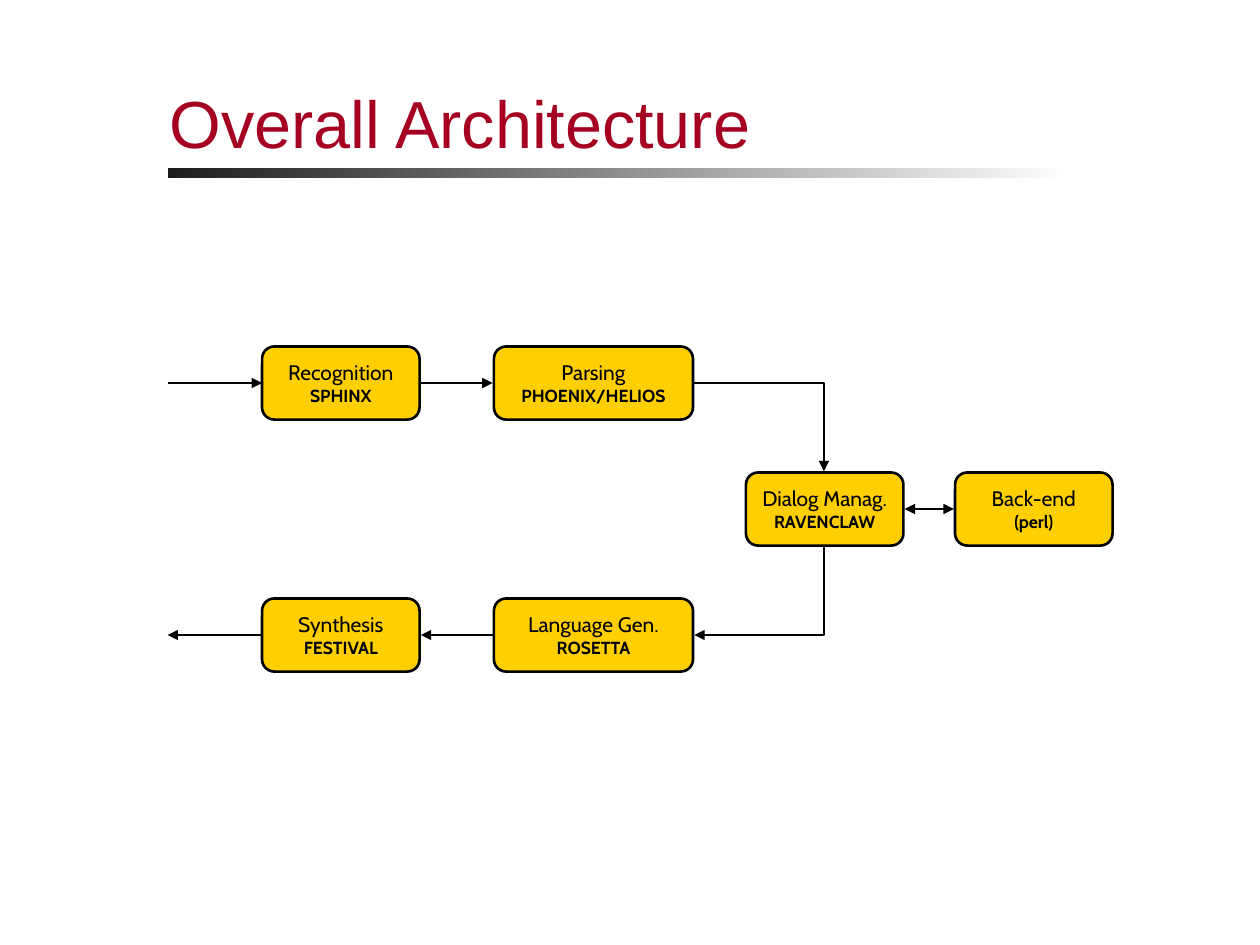
"""Build the overall architecture slide of a spoken dialog system."""
from pptx import Presentation
from pptx.dml.color import RGBColor
from pptx.enum.shapes import MSO_CONNECTOR, MSO_SHAPE
from pptx.enum.text import MSO_ANCHOR, PP_ALIGN
from pptx.oxml.ns import qn
from pptx.util import Inches, Pt
from lxml.etree import SubElement

COLORS = {"title": "A50021", "box": "FFCF01", "ink": "000000", "dark": "1C1C1C", "light": "FFFFFF"}


def rgb(name):
    return RGBColor.from_string(COLORS[name])


def write(p, text, size=12, font="Cabin", color="ink", bold=False, align=PP_ALIGN.LEFT):
    p.alignment = align
    r = p.add_run()
    r.text = text
    r.font.size, r.font.name, r.font.bold = Pt(size), font, bold
    r.font.color.rgb = rgb(color)


class Diagram:
    line_width = 1.5
    box_height = 0.58

    def __init__(self, prs):
        self.s = prs.slides.add_slide(prs.slide_layouts[6])

    def title(self, text, x, y, w, h):
        tf = self.s.shapes.add_textbox(Inches(x), Inches(y), Inches(w), Inches(h)).text_frame
        tf.word_wrap = True
        tf.vertical_anchor = MSO_ANCHOR.BOTTOM
        write(tf.paragraphs[0], text, size=38, font="Arial", color="title")

    def shape(self, kind, x, y, w, h):
        sp = self.s.shapes.add_shape(kind, Inches(x), Inches(y), Inches(w), Inches(h))
        sp.shadow.inherit = False
        return sp

    def fading_rule(self, x, y, w, h):
        sp = self.shape(MSO_SHAPE.RECTANGLE, x, y, w, h)
        sp.line.fill.background()
        sp.fill.gradient()
        sp.fill.gradient_angle = 0
        for stop, name in zip(sp.fill.gradient_stops, ("dark", "light")):
            stop.color.rgb = rgb(name)

    def box(self, role, system, x, y, w):
        sp = self.shape(MSO_SHAPE.ROUNDED_RECTANGLE, x, y, w, self.box_height)
        sp.fill.solid()
        sp.fill.fore_color.rgb = rgb("box")
        sp.line.color.rgb = rgb("ink")
        sp.line.width = Pt(self.line_width)
        tf = sp.text_frame
        tf.word_wrap = False
        tf.vertical_anchor = MSO_ANCHOR.MIDDLE
        write(tf.paragraphs[0], role, align=PP_ALIGN.CENTER)
        write(tf.add_paragraph(), system, size=10, bold=True, align=PP_ALIGN.CENTER)

    def arrow(self, x1, y1, x2, y2, kind=MSO_CONNECTOR.STRAIGHT, ends=("tailEnd",)):
        c = self.s.shapes.add_connector(kind, Inches(x1), Inches(y1), Inches(x2), Inches(y2))
        c.line.color.rgb = rgb("ink")
        c.line.width = Pt(self.line_width)
        ln = c.line._get_or_add_ln()
        for end in ends:
            SubElement(ln, qn("a:" + end), type="triangle")
        SubElement(c._element.spPr, qn("a:effectLst"))
        return c

    def corner(self, x1, y1, x2, y2):
        """Draw a one-bend arrow that goes right then down, or down then left."""
        c = self.arrow(x1, y1, x2, y2, kind=MSO_CONNECTOR.ELBOW)
        spPr = c._element.spPr
        spPr.find(qn("a:prstGeom")).set("prst", "bentConnector2")
        if x2 < x1:
            w, h = y2 - y1, x1 - x2
            xfrm = spPr.find(qn("a:xfrm"))
            xfrm.attrib.pop("flipH", None)
            xfrm.set("rot", str(90 * 60000))
            c.left, c.top = Inches((x1 + x2 - w) / 2), Inches((y1 + y2 - h) / 2)
            c.width, c.height = Inches(w), Inches(h)


def main():
    prs = Presentation()
    prs.slide_width, prs.slide_height = Inches(10), Inches(7.5)
    d = Diagram(prs)
    d.fading_rule(1.33, 1.33, 7.17, 0.08)
    d.title("Overall Architecture", 1.25, 0.5, 8.52, 0.83)

    top, middle, bottom = 2.75, 3.75, 4.75
    for role, system, x, y, w in (
        ("Recognition", "SPHINX", 2.08, top, 1.25),
        ("Parsing", "PHOENIX/HELIOS", 3.92, top, 1.58),
        ("Dialog Manag.", "RAVENCLAW", 5.92, middle, 1.25),
        ("Back-end", "(perl)", 7.58, middle, 1.25),
        ("Language Gen.", "ROSETTA", 3.92, bottom, 1.58),
        ("Synthesis", "FESTIVAL", 2.08, bottom, 1.25),
    ):
        d.box(role, system, x, y, w)

    y_in, y_mid, y_out = (y + d.box_height / 2 for y in (top, middle, bottom))
    for left, right in ((1.33, 2.08), (3.34, 3.91)):
        d.arrow(left, y_in, right, y_in)
        d.arrow(right, y_out, left, y_out)
    d.arrow(7.18, y_mid, 7.57, y_mid, ends=("headEnd", "tailEnd"))
    d.corner(5.51, y_in, 6.54, middle - 0.01)
    d.corner(6.54, middle + d.box_height + 0.01, 5.51, y_out)
    prs.save("out.pptx")


if __name__ == "__main__":
    main()
